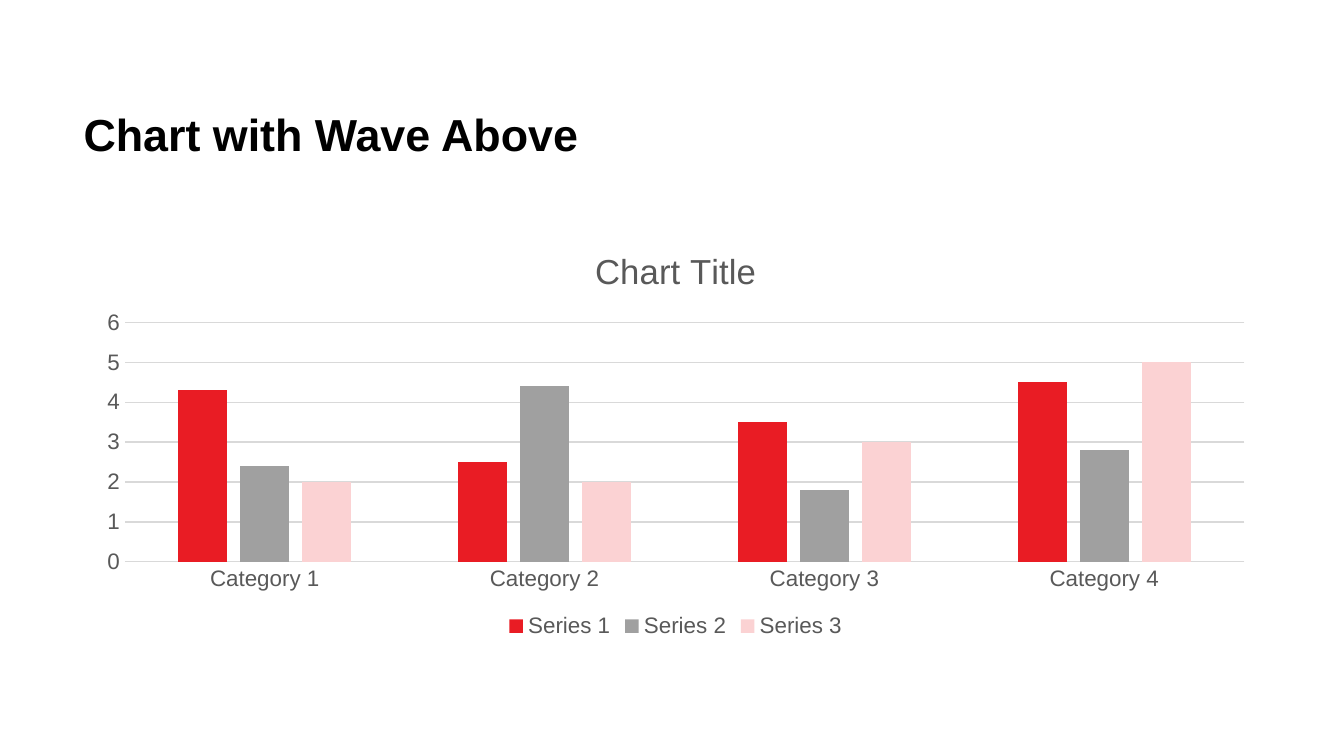
from pptx import Presentation
from pptx.chart import data
from pptx.dml.color import RGBColor
from pptx.enum import chart as kinds, text
from pptx.util import Pt

BLACK = RGBColor(0x00, 0x00, 0x00)
GREY = RGBColor(0x59, 0x59, 0x59)
RULE = RGBColor(0xD9, 0xD9, 0xD9)
RED = RGBColor(0xE9, 0x1C, 0x24)
STONE = RGBColor(0xA0, 0xA0, 0xA0)
PINK = RGBColor(0xFB, 0xD2, 0xD3)
LEFT, WIDTH = Pt(44.75), Pt(634.5)


def style(font, size, color, bold=False):
    font.name = "Arial"
    font.size = Pt(size)
    font.bold = bold
    font.color.rgb = color


def rule(line):
    line.color.rgb = RULE
    line.width = Pt(0.75)


deck = Presentation()
deck.slide_width, deck.slide_height = Pt(720), Pt(405)
slide = deck.slides.add_slide(deck.slide_layouts[5])

# Title
title = slide.shapes.title
title.left, title.top, title.width, title.height = LEFT, Pt(60.5), WIDTH, Pt(57)
frame = title.text_frame
frame.margin_left = frame.margin_right = frame.margin_top = frame.margin_bottom = 0
frame.vertical_anchor = text.MSO_ANCHOR.TOP
frame.word_wrap = True
frame.auto_size = text.MSO_AUTO_SIZE.NONE
frame.text = "Chart with Wave Above"
line = frame.paragraphs[0]
line.alignment = text.PP_ALIGN.LEFT
line.line_spacing = 0.9
style(line.runs[0].font, 24, BLACK, True)

# Chart data
series = [
    ("Series 1", (4.3, 2.5, 3.5, 4.5), RED),
    ("Series 2", (2.4, 4.4, 1.8, 2.8), STONE),
    ("Series 3", (2, 2, 3, 5), PINK),
]
table = data.CategoryChartData()
table.categories = [f"Category {n}" for n in range(1, 5)]
for name, values, color in series:
    table.add_series(name, values)

# Column chart
chart = slide.shapes.add_chart(
    kinds.XL_CHART_TYPE.COLUMN_CLUSTERED, LEFT, Pt(121.5), WIDTH, Pt(223.25), table
).chart
style(chart.font, 10, BLACK)
chart.has_title = True
head = chart.chart_title.text_frame
head.text = "Chart Title"
style(head.paragraphs[0].runs[0].font, 18.6, GREY)
chart.chart_title.include_in_layout = False

# Columns
plot = chart.plots[0]
plot.gap_width, plot.overlap = 219, -27
plot.vary_by_categories = False
for bars, (name, values, color) in zip(plot.series, series):
    bars.format.fill.solid()
    bars.format.fill.fore_color.rgb = color
    bars.invert_if_negative = False

# Axes
for axis in (chart.category_axis, chart.value_axis):
    axis.major_tick_mark = axis.minor_tick_mark = kinds.XL_TICK_MARK.NONE
    style(axis.tick_labels.font, 12, GREY)
rule(chart.category_axis.format.line)
scale = chart.value_axis
scale.minimum_scale, scale.maximum_scale, scale.major_unit = 0, 6, 1
scale.format.line.fill.background()
scale.has_major_gridlines = True
rule(scale.major_gridlines.format.line)

# Legend
chart.has_legend = True
chart.legend.position = kinds.XL_LEGEND_POSITION.BOTTOM
chart.legend.include_in_layout = False
style(chart.legend.font, 12, GREY)

deck.save("out.pptx")
